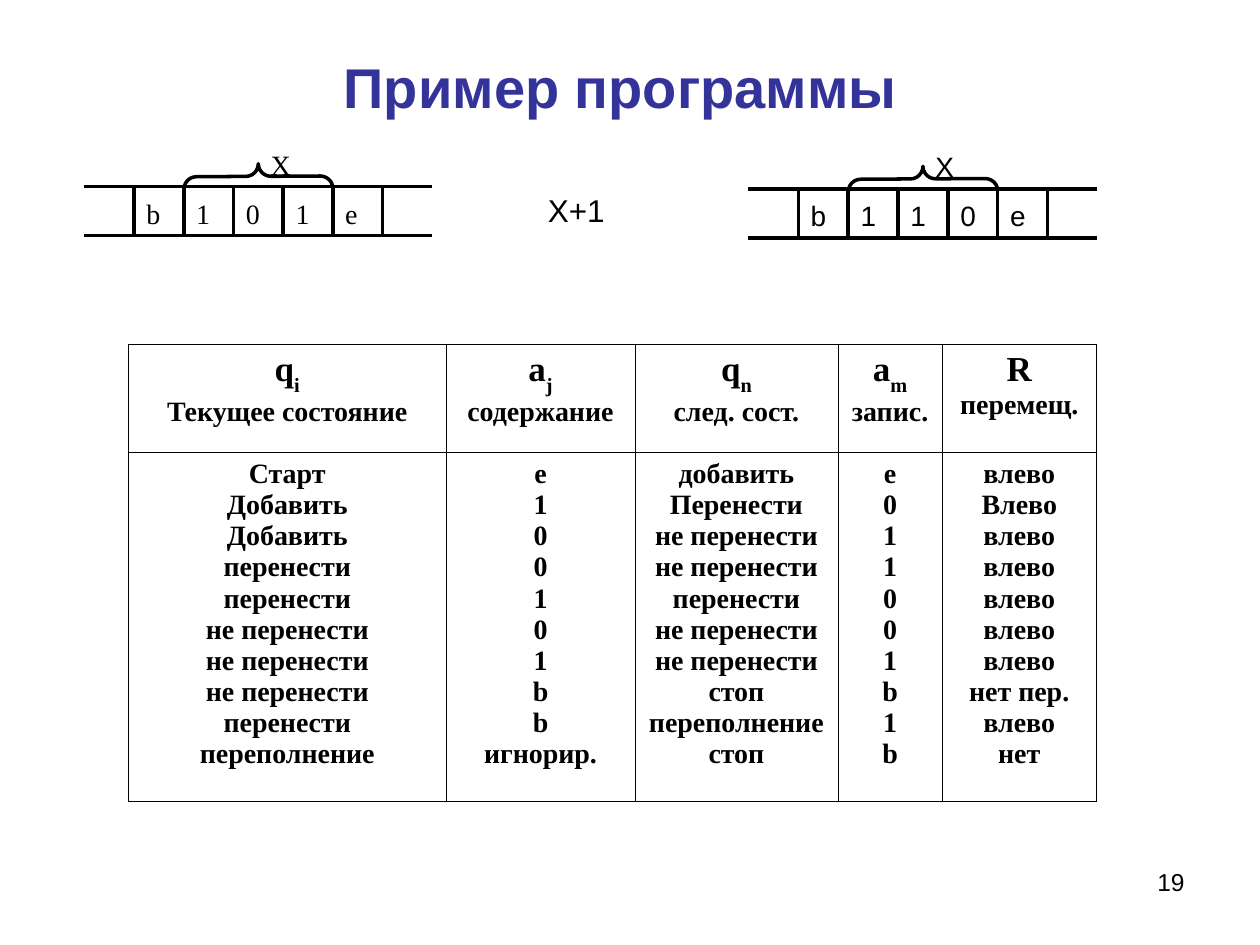
from lxml import etree
from pptx import Presentation
from pptx import util as u
from pptx.dml import color
from pptx.enum import shapes, text
from pptx.oxml import ns

COLORS = {"title": "333399", "ink": "000000"}
ALIGN = text.PP_ALIGN

HEADERS = [
    ("q", "i", "Текущее состояние"),
    ("a", "j", "содержание"),
    ("q", "n", "след. сост."),
    ("a", "m", "запис."),
    ("R", "", "перемещ."),
]
COLUMN_SHARES = [2.52, 1.5, 1.61, 0.83, 1.22]
HEADER_SHARE = 0.86 / 3.63
RULES = [
    ("Старт", "e", "добавить", "e", "влево"),
    ("Добавить", "1", "Перенести", "0", "Влево"),
    ("Добавить", "0", "не перенести", "1", "влево"),
    ("перенести", "0", "не перенести", "1", "влево"),
    ("перенести", "1", "перенести", "0", "влево"),
    ("не перенести", "0", "не перенести", "0", "влево"),
    ("не перенести", "1", "не перенести", "1", "влево"),
    ("не перенести", "b", "стоп", "b", "нет пер."),
    ("перенести", "b", "переполнение", "1", "влево"),
    ("переполнение", "игнорир.", "стоп", "b", "нет"),
]


def rgb(name):
    return color.RGBColor.from_string(COLORS[name])


def style(span, size, face, bold=False, ink="ink"):
    span.font.size = u.Pt(size)
    span.font.name = face
    span.font.bold = bold
    span.font.color.rgb = rgb(ink)


def add_label(parent, left, top, width, height, words, size, face="Arial", align=ALIGN.LEFT):
    box = parent.shapes.add_textbox(*map(u.Inches, (left, top, width, height)))
    box.text_frame.word_wrap = True
    para = box.text_frame.paragraphs[0]
    para.text = words
    para.alignment = align
    style(para.runs[0], size, face)


def add_line(parent, x1, y1, x2, y2):
    line = parent.shapes.add_connector(
        shapes.MSO_CONNECTOR.STRAIGHT, *map(u.Inches, (x1, y1, x2, y2)))
    line.line.color.rgb = rgb("ink")
    line.line.width = u.Pt(2)
    etree.SubElement(line._element.spPr, ns.qn("a:effectLst"))


def add_title(page, left, top, width, height):
    title = page.shapes.title
    title.left, title.top, title.width, title.height = map(
        u.Inches, (left, top, width, height))
    frame = title.text_frame
    frame.text = "Пример программы"
    frame.auto_size = text.MSO_AUTO_SIZE.NONE
    frame.vertical_anchor = text.MSO_ANCHOR.MIDDLE
    frame.margin_top = u.Inches(0.12)
    frame.margin_right = u.Inches(0.25)
    para = frame.paragraphs[0]
    para.alignment = ALIGN.CENTER
    style(para.runs[0], 32, "Arial", True, "title")


def add_tape(page, left, top, width, height, symbols, face, align):
    tape = page.shapes.add_group_shape()
    pitch = width / (len(symbols) + 2)
    for y in (top, top + height):
        add_line(tape, left, y, left + width, y)
    for index in range(1, len(symbols) + 2):
        x = left + index * pitch
        add_line(tape, x, top, x, top + height)

    middle = left + width / 2
    depth, span = 0.2, 3 * pitch
    brace = tape.shapes.add_shape(
        shapes.MSO_SHAPE.LEFT_BRACE,
        u.Inches(middle - depth / 2), u.Inches(top - 0.08 - span / 2),
        u.Inches(depth), u.Inches(span))
    brace.rotation = 89.7
    brace.adjustments[0] = 0.5
    brace.shadow.inherit = False
    brace.fill.background()
    brace.line.color.rgb = rgb("ink")
    brace.line.width = u.Pt(2)

    add_label(tape, middle, top - 0.36, pitch, height, "Х", 16, face, align)
    for index, symbol in enumerate(symbols, 1):
        add_label(tape, left + index * pitch, top + 0.03, pitch, height,
                  symbol, 16, face, align)


def add_borders(cell):
    props = cell._tc.get_or_add_tcPr()
    for side in ("lnL", "lnR", "lnT", "lnB"):
        edge = etree.SubElement(props, ns.qn(f"a:{side}"), w=str(u.Pt(0.45)))
        fill = etree.SubElement(edge, ns.qn("a:solidFill"))
        etree.SubElement(fill, ns.qn("a:srgbClr"), val=COLORS["ink"])


def fill_header(cell, symbol, subscript, caption):
    frame = cell.text_frame
    para = frame.paragraphs[0]
    for words in filter(None, (symbol, subscript)):
        span = para.add_run()
        span.text = words
        style(span, 20, "Times New Roman", True)
    if subscript:
        span._r.get_or_add_rPr().set("baseline", "-30000")
    para = frame.add_paragraph()
    para.text = caption
    style(para.runs[0], 16, "Times New Roman", True)


def fill_body(cell, entries):
    cell.text_frame.text = "\n".join(entries)
    for para in cell.text_frame.paragraphs:
        style(para.runs[0], 16, "Times New Roman", True)


def add_program(page, left, top, width, height):
    table = page.shapes.add_table(
        2, len(HEADERS), *map(u.Inches, (left, top, width, height))).table
    table.first_row = table.horz_banding = False
    for column, share in zip(table.columns, COLUMN_SHARES):
        column.width = u.Inches(width * share / sum(COLUMN_SHARES))
    table.rows[0].height = u.Inches(height * HEADER_SHARE)
    table.rows[1].height = u.Inches(height * (1 - HEADER_SHARE))
    for index, (header, entries) in enumerate(zip(HEADERS, zip(*RULES))):
        fill_header(table.cell(0, index), *header)
        fill_body(table.cell(1, index), entries)
    for cell in table.iter_cells():
        add_borders(cell)
        cell.fill.background()
        for para in cell.text_frame.paragraphs:
            para.alignment = ALIGN.CENTER


def main():
    deck = Presentation()
    deck.slide_width, deck.slide_height = u.Inches(10), u.Inches(7.5)
    page = deck.slides.add_slide(deck.slide_layouts[5])
    add_title(page, 0.5, 0.3, 9, 0.69)
    add_tape(page, 0.67, 1.48, 2.76, 0.39, "b101e", "Times New Roman", ALIGN.JUSTIFY)
    add_program(page, 1.02, 2.73, 7.68, 3.63)
    add_label(page, 4.25, 1.47, 0.91, 0.4, "X+1", 18)
    add_tape(page, 5.94, 1.5, 2.77, 0.39, "b110e", "Arial", ALIGN.LEFT)
    add_label(page, 7.17, 6.83, 2.33, 0.52, "19", 14, align=ALIGN.RIGHT)
    deck.save("out.pptx")


if __name__ == "__main__":
    main()
